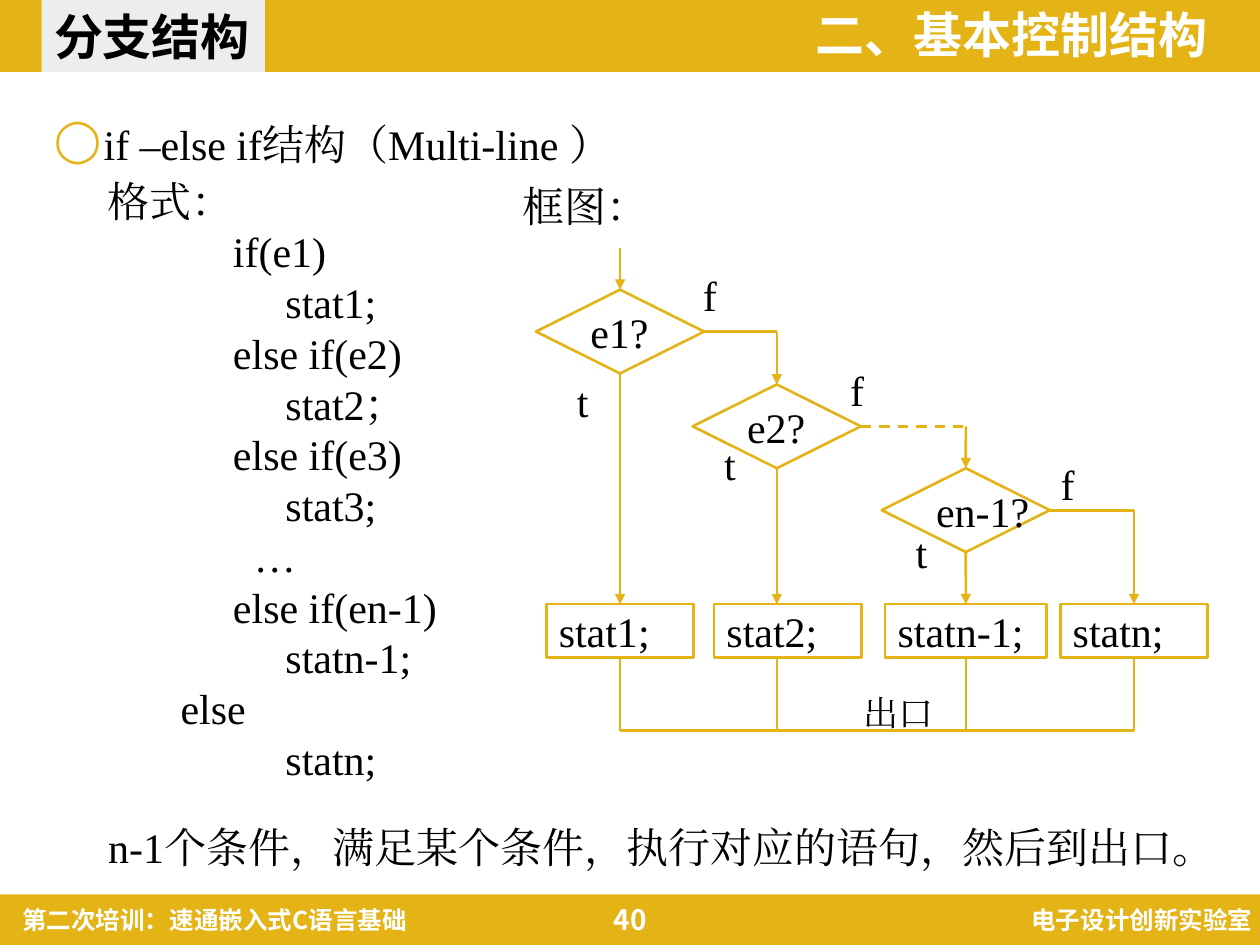
"""Build the slide on the if / else-if branch structure with its flow chart."""
from lxml.etree import SubElement as Sub
from pptx import Presentation
from pptx.dml.color import RGBColor
from pptx.enum.dml import MSO_LINE as Dash
from pptx.enum.shapes import MSO_CONNECTOR as Link, MSO_SHAPE as Kind
from pptx.enum.text import MSO_ANCHOR as Anchor, PP_ALIGN as Align
from pptx.oxml.ns import qn
from pptx.util import Cm, Pt

GOLD, GREY, WHITE, BLACK = "E4B316", "EDEDED", "FFFFFF", "000000"
SANS, SERIF = "Noto Sans CJK SC", "Times New Roman"

TITLE = "二、基本控制结构"
TOPIC = "分支结构"
HEAD = "if –else if结构（Multi-line ）"
CODE = [
    "格式：",
    "            if(e1)",
    "                 stat1;",
    "            else if(e2)",
    "                 stat2；",
    "            else if(e3)",
    "                 stat3;",
    "              …",
    "            else if(en-1)",
    "                 statn-1;",
    "       else",
    "                 statn;",
]
FOOTER = [
    ("第二次培训：速通嵌入式C语言基础", 0.2, 10.13, 14, Align.LEFT),
    ("40", 11.15, 3.12, 16, Align.CENTER),
    ("电子设计创新实验室", 17.53, 7.97, 14, Align.RIGHT),
]
LABELS = [
    ("框图：", 10.29, 3.51, 3.1, 24),
    ("t", 11.38, 7.44, 0.74, 24),
    ("t", 14.35, 8.71, 0.74, 24),
    ("t", 18.21, 10.49, 0.74, 24),
    ("f", 13.92, 5.31, 0.79, 24),
    ("f", 16.89, 7.21, 0.79, 24),
    ("f", 21.13, 9.12, 0.79, 24),
    ("出口", 17.15, 13.82, 2, 20),
    ("n-1个条件，满足某个条件，执行对应的语句，然后到出口。", 1.93, 16.43, 23.3, 24),
]
TESTS = [("e1?", 5.84, None), ("e2?", 7.75, Dash.DASH), ("en-1?", 9.44, None)]
STATS = [
    ("stat1;", 12.5, 2.97),
    ("stat2;", 15.88, 2.97),
    ("statn-1;", 19.47, 3.25),
    ("statn;", 22.86, 2.97),
]
COLS = [12.5, 15.66, 19.47, 22.86]
TEST_W, TEST_H = 3.39, 1.69
STAT_TOP, STAT_H = 12.18, 1.08
START, EXIT = 5, 14.73

deck = Presentation()
deck.slide_width, deck.slide_height = Cm(25.4), Cm(19.05)
slide = deck.slides.add_slide(deck.slide_layouts[5])
shapes = slide.shapes


def rgb(code):
    return RGBColor.from_string(code)


def write(shape, lines, size, color=BLACK, face=SERIF, bold=False,
          align=Align.LEFT, anchor=Anchor.TOP, wrap=True, pitch=None):
    frame = shape.text_frame
    frame.word_wrap, frame.vertical_anchor = wrap, anchor
    for i, line in enumerate(lines):
        para = frame.add_paragraph() if i else frame.paragraphs[0]
        para.alignment, para.space_before = align, Pt(0)
        para.line_spacing = pitch or (Pt(round(size * 1.21)) if face == SERIF else 1)
        run = para.add_run()
        run.text = line
        font = run.font
        font.size, font.bold, font.name = Pt(size), bold, face
        font.color.rgb = rgb(color)
        Sub(run._r.get_or_add_rPr(), qn("a:ea"), typeface=face)


def label(lines, x, y, w, h, size, **style):
    box = shapes.add_textbox(Cm(x), Cm(y), Cm(w), Cm(h))
    write(box, lines, size, **style)
    return box


def block(kind, x, y, w, h, fill=None, line=None):
    shape = shapes.add_shape(kind, Cm(x), Cm(y), Cm(w), Cm(h))
    shape.shadow.inherit = False
    if fill:
        shape.fill.solid()
        shape.fill.fore_color.rgb = rgb(fill)
    else:
        shape.fill.background()
    if line:
        shape.line.color.rgb, shape.line.width = rgb(line), Pt(1.5)
    else:
        shape.line.fill.background()
    return shape


def link(x1, y1, x2, y2, src=None, dst=None, head=False, dash=None):
    wire = shapes.add_connector(Link.STRAIGHT, Cm(x1), Cm(y1), Cm(x2), Cm(y2))
    if src:
        wire.begin_connect(*src)
    if dst:
        wire.end_connect(*dst)
    wire.line.color.rgb, wire.line.width = rgb(GOLD), Pt(1.5)
    if dash:
        wire.line.dash_style = dash
    if head:
        Sub(wire.line._get_or_add_ln(), qn("a:tailEnd"), type="triangle")
    Sub(wire._element.spPr, qn("a:effectLst"))


def frame_page():
    for y, h in ((0, 1.45), (18.03, 1.02)):
        bar = block(Kind.RECTANGLE, 0, y, 25.4, h, GOLD)
        shapes._spTree.remove(bar._element)
        shapes._spTree.insert(2, bar._element)
    title = shapes.title
    title.left, title.top, title.width, title.height = Cm(11.15), Cm(0.18), Cm(13.44), Cm(1.17)
    bold = dict(face=SANS, bold=True, anchor=Anchor.MIDDLE)
    write(title, [TITLE], 28, WHITE, align=Align.RIGHT, pitch=0.9, **bold)
    tab = block(Kind.RECTANGLE, 0.84, 0, 4.5, 1.45, GREY)
    write(tab, [TOPIC], 28, wrap=False, **bold)
    for text, x, w, size, align in FOOTER:
        label([text], x, 18.03, w, 1.02, size, color=WHITE, align=align, **bold)


def add_text():
    head = label([HEAD], 0.84, 2.16, 13.28, 1.45, 24, pitch=Pt(32))
    props = head.text_frame.paragraphs[0]._p.get_or_add_pPr()
    props.set("marL", str(Cm(1)))
    props.set("indent", str(Cm(-1)))
    Sub(Sub(props, qn("a:buClr")), qn("a:srgbClr"), val=GOLD)
    Sub(props, qn("a:buChar"), char="◯")
    label(CODE, 1.91, 3.4, 7.26, 13.59, 24)
    for text, x, y, w, size in LABELS:
        label([text], x, y, w, 1.3 if size == 24 else 1.12, size)


def add_flow():
    tests, stats = [], []
    for (text, top, _), x in zip(TESTS, COLS):
        tests.append(block(Kind.DIAMOND, x - TEST_W / 2, top, TEST_W, TEST_H, line=GOLD))
        write(tests[-1], [text], 24, anchor=Anchor.MIDDLE, wrap=False)
    for (text, mid, w), x in zip(STATS, COLS):
        box = block(Kind.FLOWCHART_PROCESS, mid - w / 2, STAT_TOP, w, STAT_H, line=GOLD)
        write(box, [text], 24, anchor=Anchor.MIDDLE, wrap=False)
        stats.append(box if mid == x else None)
        link(x, STAT_TOP + STAT_H, x, EXIT, src=(box, 2) if mid == x else None)
    link(COLS[0], START, COLS[0], TESTS[0][1], dst=(tests[0], 0), head=True)
    for i, (_, top, dash) in enumerate(TESTS):
        x, turn, mid = COLS[i], COLS[i + 1], top + TEST_H / 2
        link(x, top + TEST_H, x, STAT_TOP, src=(tests[i], 2),
             dst=(stats[i], 0) if stats[i] else None, head=True)
        link(x + TEST_W / 2, mid, turn, mid, src=(tests[i], 3), dash=dash)
        last = i + 1 == len(TESTS)
        goal = stats[-1] if last else tests[i + 1]
        link(turn, mid, turn, STAT_TOP if last else TESTS[i + 1][1], dst=(goal, 0), head=True)
    link(COLS[0], EXIT, COLS[-1], EXIT)


frame_page()
add_text()
add_flow()
deck.save("out.pptx")
